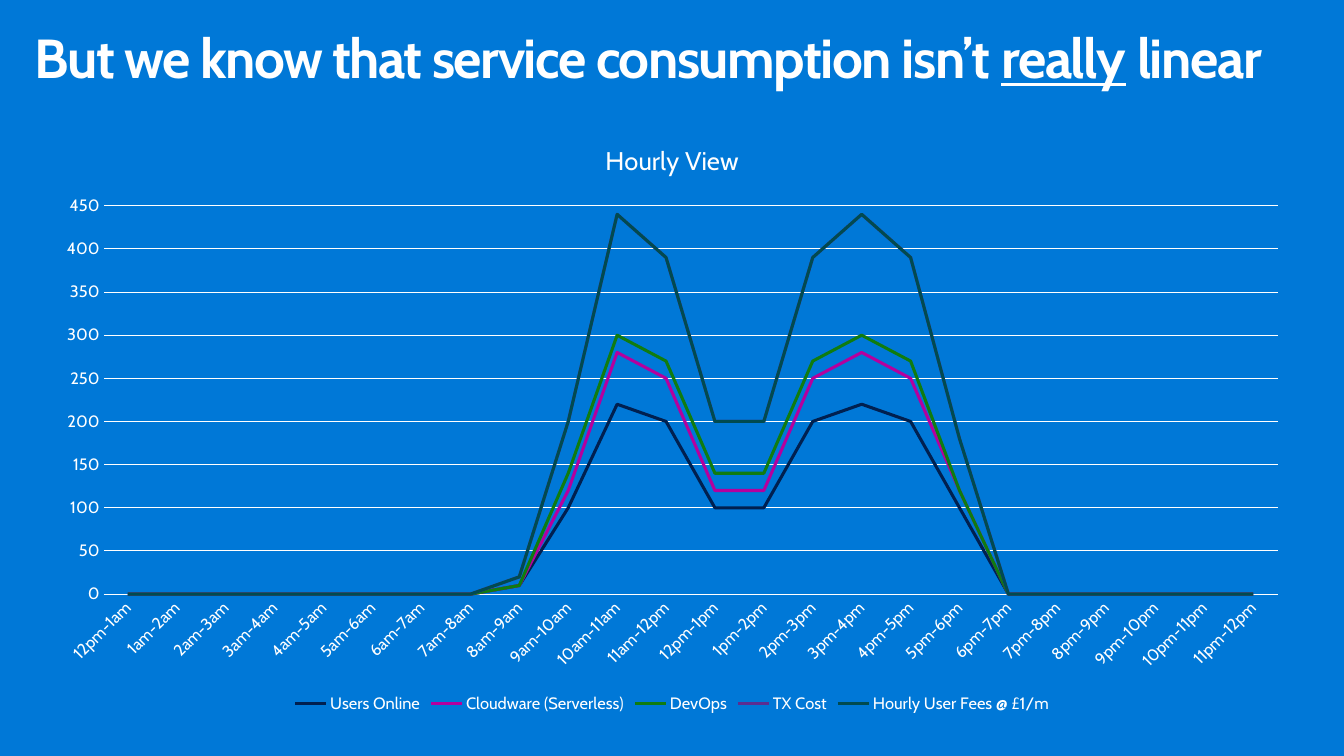
from pptx import Presentation
from pptx.chart.data import CategoryChartData
from pptx.dml.color import RGBColor
from pptx.enum.chart import XL_CHART_TYPE as ChartType
from pptx.enum.chart import XL_LEGEND_POSITION as LegendPosition
from pptx.enum.chart import XL_TICK_MARK as TickMark
from pptx.enum.text import MSO_ANCHOR as Anchor
from pptx.enum.text import MSO_AUTO_SIZE as AutoSize
from pptx.enum.text import PP_ALIGN as Align
from pptx.util import Cm, Pt

FONT = "Cabin"
WHITE = "FFFFFF"
BLUE = "0078D7"

HEADLINE = [
    ("But we know that service consumption isn’t ", False),
    ("really", True),
    (" linear", False),
]
CHART_TITLE = "Hourly View"
HOURS = [
    "12pm-1am", "1am-2am", "2am-3am", "3am-4am", "4am-5am", "5am-6am",
    "6am-7am", "7am-8am", "8am-9am", "9am-10am", "10am-11am", "11am-12pm",
    "12pm-1pm", "1pm-2pm", "2pm-3pm", "3pm-4pm", "4pm-5pm", "5pm-6pm",
    "6pm-7pm", "7pm-8pm", "8pm-9pm", "9pm-10pm", "10pm-11pm", "11pm-12pm",
]
SERIES = [
    ("Users Online", "002050",
     [0] * 8 + [10, 100, 220, 200, 100, 100, 200, 220, 200, 100] + [0] * 6),
    ("Cloudware (Serverless)", "B4009E",
     [0] * 9 + [20, 60, 50, 20, 20, 50, 60, 50, 20] + [0] * 6),
    ("DevOps", "107C10", [0] * 9 + [20] * 8 + [0] * 7),
    ("TX Cost", "5C2D91",
     [0] * 8 + [10, 60, 140, 120, 60, 60, 120, 140, 120, 60] + [0] * 6),
    ("Hourly User Fees @ £1/m", "004B50", [0] * 24),
]


def color(value):
    return RGBColor.from_string(value)


def style_font(font, size, bold=False):
    font.name = FONT
    font.size = Pt(size)
    font.bold = bold
    font.color.rgb = color(WHITE)


def style_line(line, value, width):
    line.color.rgb = color(value)
    line.width = Pt(width)


def add_headline(slide):
    title = slide.shapes.title
    title.left, title.top, title.width, title.height = (
        Cm(0.48), Cm(0.56), Cm(33.71), Cm(2.54))
    frame = title.text_frame
    frame.word_wrap = True
    frame.auto_size = AutoSize.NONE
    frame.vertical_anchor = Anchor.TOP
    frame.margin_left = frame.margin_right = Cm(0.41)
    frame.margin_top = frame.margin_bottom = Cm(0.25)
    paragraph = frame.paragraphs[0]
    paragraph.alignment = Align.LEFT
    paragraph.line_spacing = 0.9
    for words, underlined in HEADLINE:
        run = paragraph.add_run()
        run.text = words
        style_font(run.font, 40, bold=True)
        run.font.underline = underlined
        run.font._element.set("spc", "-105")


def add_hourly_chart(slide):
    data = CategoryChartData()
    data.categories = HOURS
    for name, _, values in SERIES:
        data.add_series(name, values)
    chart = slide.shapes.add_chart(
        ChartType.LINE_STACKED, Cm(1.07), Cm(3.1), Cm(32.41), Cm(15.34), data
    ).chart
    style_font(chart.font, 10)

    chart.has_title = True
    heading = chart.chart_title.text_frame.paragraphs[0].add_run()
    heading.text = CHART_TITLE
    style_font(heading.font, 18.6)
    chart.chart_title.include_in_layout = False

    chart.has_legend = True
    chart.legend.position = LegendPosition.BOTTOM
    chart.legend.include_in_layout = False
    style_font(chart.legend.font, 12)

    hours, amounts = chart.category_axis, chart.value_axis
    for axis in (hours, amounts):
        axis.major_tick_mark = axis.minor_tick_mark = TickMark.NONE
        style_font(axis.tick_labels.font, 12)
    style_line(hours.format.line, WHITE, 0.75)
    hours._element.txPr.bodyPr.set("rot", "-2700000")
    amounts.minimum_scale, amounts.maximum_scale = 0, 450
    amounts.major_unit = 50
    amounts.format.line.fill.background()
    amounts.has_major_gridlines = True
    style_line(amounts.major_gridlines.format.line, WHITE, 0.75)

    plot = chart.plots[0]
    plot.vary_by_categories = False
    for series, (_, value, _) in zip(plot.series, SERIES):
        series.smooth = False
        style_line(series.format.line, value, 2.25)


def main():
    deck = Presentation()
    deck.slide_width, deck.slide_height = Cm(34.54), Cm(19.43)
    slide = deck.slides.add_slide(deck.slide_layouts[5])
    slide.background.fill.solid()
    slide.background.fill.fore_color.rgb = color(BLUE)
    add_headline(slide)
    add_hourly_chart(slide)
    deck.save("out.pptx")


if __name__ == "__main__":
    main()
